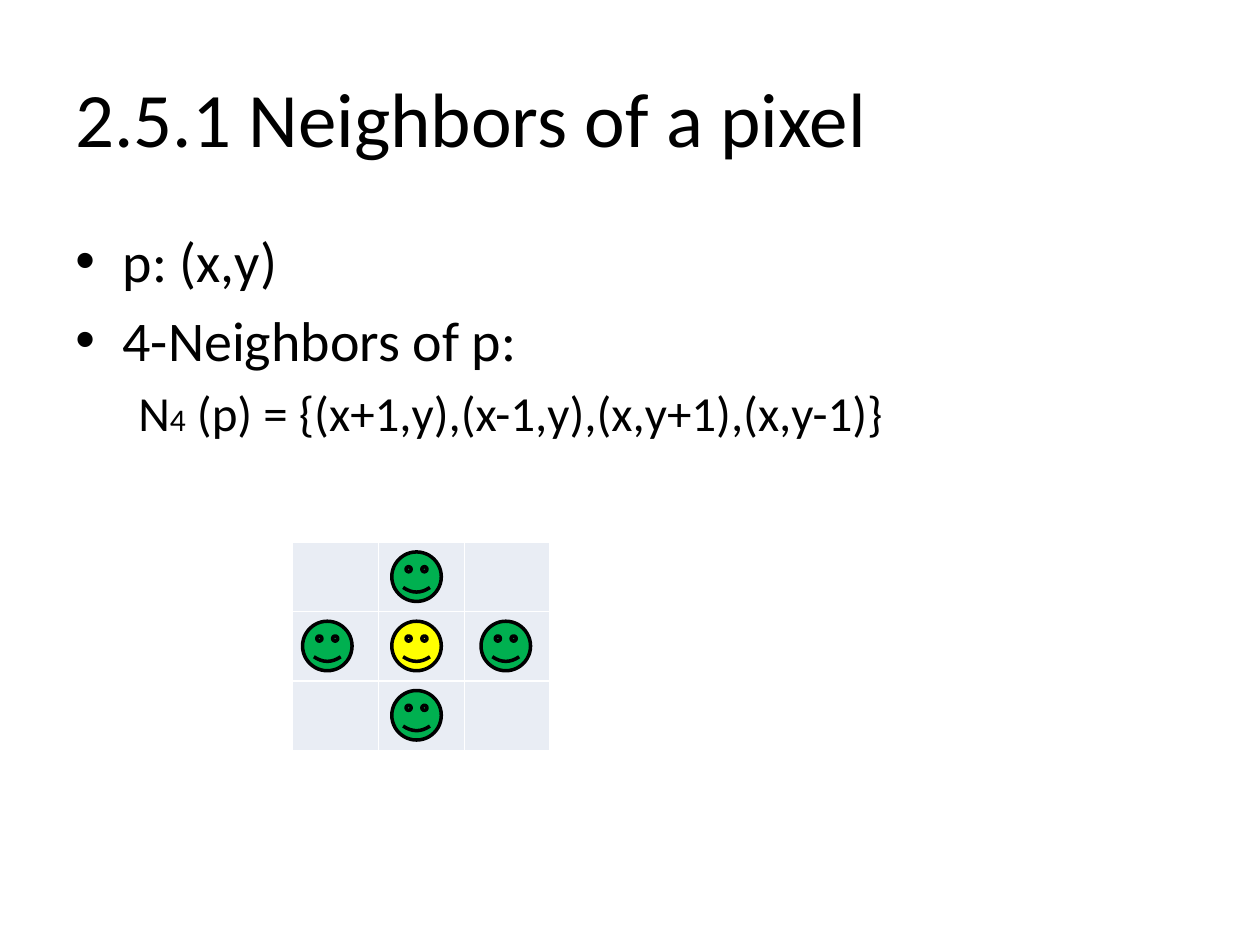
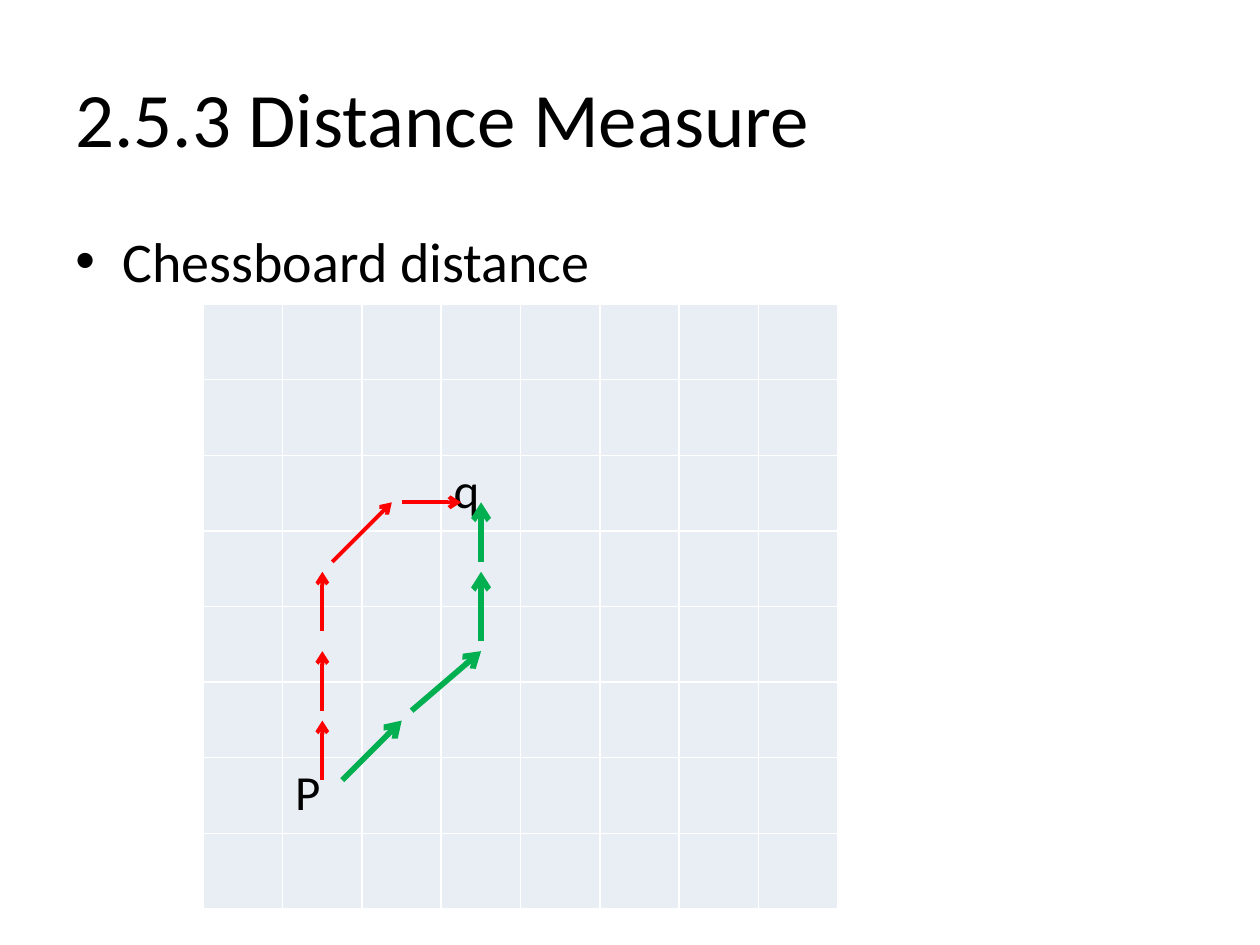
from dataclasses import dataclass

from lxml import etree
from pptx import Presentation
from pptx.dml.color import RGBColor
from pptx.enum import shapes, text
from pptx.oxml import ns
from pptx.util import Pt


@dataclass(frozen=True)
class Theme:
    font: str = "Calibri"
    ink: str = "000000"
    paper: str = "FFFFFF"
    cell: str = "E9EDF4"
    green: str = "00B050"
    yellow: str = "FFFF00"
    red: str = "FF0000"
    head: int = 44
    body: int = 32
    sub: int = 28
    tiny: int = 18


def rgb(code):
    return RGBColor.from_string(code)


def add(parent, tag, **attrs):
    node = etree.SubElement(parent, ns.qn(tag))
    for key, value in attrs.items():
        node.set(key, str(value))
    return node


class Deck:
    def __init__(self, theme):
        self.theme = theme
        self.prs = Presentation()
        self.prs.slide_width, self.prs.slide_height = Pt(720), Pt(540)
        self.slide = None

    def page(self, title):
        self.slide = self.prs.slides.add_slide(self.prs.slide_layouts[6])
        frame = self.box(21.6, 90)
        frame.vertical_anchor = text.MSO_ANCHOR.MIDDLE
        frame.text = title
        self.style(frame.paragraphs[0], self.theme.head)

    def box(self, top, height):
        shape = self.slide.shapes.add_textbox(Pt(36), Pt(top), Pt(648), Pt(height))
        shape.text_frame.word_wrap = True
        return shape.text_frame

    def style(self, para, size=None):
        para.font.name = self.theme.font
        para.font.color.rgb = rgb(self.theme.ink)
        if size:
            para.font.size = Pt(size)

    def body(self, *items):
        """Write strings as bullets, and lists of (text, size) as sub-lines."""
        frame = self.box(126, 356.4)
        for i, item in enumerate(items):
            para = frame.add_paragraph() if i else frame.paragraphs[0]
            props = para._p.get_or_add_pPr()
            bullet = isinstance(item, str)
            size = self.theme.body if bullet else self.theme.sub
            left, hang = (27, 27) if bullet else (58.5, 22.5)
            props.set("marL", str(Pt(left)))
            props.set("indent", str(-Pt(hang)))
            if i:
                para.space_before = Pt(size * 0.2)
            if bullet:
                add(props, "a:buFont", typeface="Arial")
                add(props, "a:buChar", char="•")
                para.text = item
                self.style(para, size)
            else:
                add(props, "a:buNone")
                for words, points in item:
                    run = para.add_run()
                    run.text, run.font.size = words, Pt(points)
                self.style(para)

    def grid(self, left, top, count, width, height, marks=None):
        """Draw a square table; marks maps (row, column) to a letter."""
        marks = marks or {}
        frame = self.slide.shapes.add_table(
            count, count, Pt(left), Pt(top), Pt(count * width), Pt(count * height))
        table = frame.table
        table.first_row = table.horz_banding = False
        for col in table.columns:
            col.width = Pt(width)
        for r, row in enumerate(table.rows):
            row.height = Pt(height)
            for c, cell in enumerate(row.cells):
                self.edge(cell)
                cell.fill.solid()
                cell.fill.fore_color.rgb = rgb(self.theme.cell)
                if (r, c) in marks:
                    cell.text = marks[r, c]
                    self.style(cell.text_frame.paragraphs[0], self.theme.sub)

    def edge(self, cell):
        props = cell._tc.get_or_add_tcPr()
        for side in "LRTB":
            line = add(props, f"a:ln{side}", w=Pt(1))
            add(add(line, "a:solidFill"), "a:srgbClr", val=self.theme.paper)

    def face(self, left, top, color):
        shape = self.slide.shapes.add_shape(
            shapes.MSO_SHAPE.SMILEY_FACE, Pt(left), Pt(top), Pt(28.3), Pt(28.3))
        shape.shadow.inherit = False
        shape.fill.solid()
        shape.fill.fore_color.rgb = rgb(color)
        shape.line.color.rgb = rgb(self.theme.ink)
        shape.line.width = Pt(2)

    def arrow(self, start, end, color, width):
        line = self.slide.shapes.add_connector(
            shapes.MSO_CONNECTOR.STRAIGHT, *map(Pt, start + end))
        line.line.color.rgb = rgb(color)
        line.line.width = Pt(width)
        add(line.line._get_or_add_ln(), "a:tailEnd", type="arrow")
        add(line._element.spPr, "a:effectLst")


def neighbors(deck):
    theme = deck.theme
    deck.page("2.5.1 Neighbors of a pixel")
    deck.body("p: (x,y)", "4-Neighbors of p:",
              [("N", theme.sub), ("4", theme.tiny),
               (" (p) = {(x+1,y),(x-1,y),(x,y+1),(x,y-1)}", theme.sub)])
    deck.grid(167.1, 309.9, 3, 49.1, 39.6)
    for dx, dy in [(0, 0), (0, -1), (1, 0), (-1, 0), (0, 1)]:
        color = theme.green if dx or dy else theme.yellow
        deck.face(223.9 + 51 * dx, 355 + 39.6 * dy, color)


def distance(deck):
    theme = deck.theme
    deck.page("2.5.3 Distance Measure")
    deck.body("Chessboard distance")
    deck.grid(116.1, 173.8, 8, 45.35, 43.2, {(2, 3): "q", (6, 1): "P"})

    def spot(x, y):
        """Turn steps right of and above P into points on the slide."""
        return 184.2 + 5.67 * x, 445.8 - 5.67 * y

    paths = [
        (theme.green, 3.25, [(2, 0, 8, 6), (9, 7, 16, 13),
                             (16, 14, 16, 21), (16, 22, 16, 28)]),
        (theme.red, 2.25, [(0, 0, 0, 6), (0, 7, 0, 13), (0, 15, 0, 21),
                           (1, 22, 7, 28), (8, 28, 14, 28)]),
    ]
    for color, width, moves in paths:
        for move in moves:
            deck.arrow(spot(*move[:2]), spot(*move[2:]), color, width)


def main():
    deck = Deck(Theme())
    neighbors(deck)
    distance(deck)
    deck.prs.save("out.pptx")


if __name__ == "__main__":
    main()
